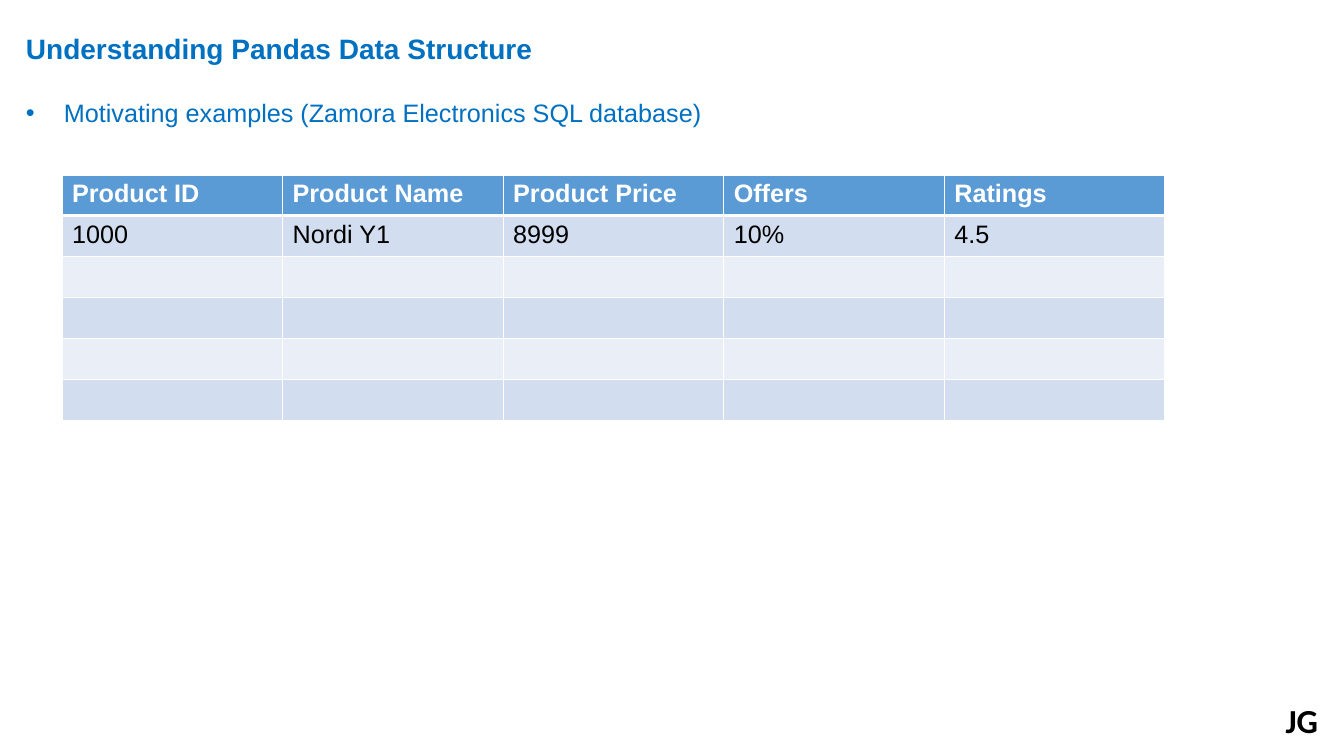
from dataclasses import dataclass

from lxml.etree import SubElement
from pptx import Presentation
from pptx.dml.color import RGBColor
from pptx.enum.text import MSO_ANCHOR, PP_ALIGN
from pptx.oxml.ns import qn
from pptx.util import Emu, Pt

SLIDE_WIDTH, SLIDE_HEIGHT = 1344, 756
EMU_PER_PX = 914400 / 100.8
BORDER_SIDES = ("lnL", "lnR", "lnT", "lnB")


@dataclass(frozen=True)
class Theme:
    font: str = "Arial"
    mark_font: str = "Calibri"
    accent: str = "0070C0"
    ink: str = "000000"
    white: str = "FFFFFF"
    header_fill: str = "5B9BD5"
    band_fills: tuple = ("D2DEEF", "EAEFF7")
    title_size: int = 20
    body_size: int = 18
    mark_size: int = 24
    title_gap: int = 23
    thin_border: int = 1
    header_border: int = 3


THEME = Theme()

TITLE = "Understanding Pandas Data Structure"
BULLET = "Motivating examples (Zamora Electronics SQL database)"
MARK = "JG"
PRODUCT_ROWS = (
    ("Product ID", "Product Name", "Product Price", "Offers", "Ratings"),
    ("1000", "Nordi Y1", "8999", "10%", "4.5"),
)
BODY_ROW_COUNT = 5


def px(length):
    return Emu(round(length * EMU_PER_PX))


def format_runs(para, font, size, color, bold=False):
    for span in para.runs:
        span.font.name = font
        span.font.size = Pt(size)
        span.font.bold = bold
        span.font.color.rgb = RGBColor.from_string(color)


def add_text_frame(page, box):
    frame = page.shapes.add_textbox(*map(px, box)).text_frame
    frame.word_wrap = True
    return frame


def set_bullet(para, indent):
    properties = para._p.get_or_add_pPr()
    properties.set("marL", str(px(indent)))
    properties.set("indent", str(-px(indent)))
    SubElement(properties, qn("a:buFont"), typeface=THEME.font)
    SubElement(properties, qn("a:buChar"), char="•")


def set_borders(cell, widths):
    properties = cell._tc.get_or_add_tcPr()
    for side, width in zip(BORDER_SIDES, widths):
        line = SubElement(properties, qn(f"a:{side}"), w=str(Pt(width)))
        fill = SubElement(line, qn("a:solidFill"))
        SubElement(fill, qn("a:srgbClr"), val=THEME.white)


# Title and bullet
def add_heading(page, box):
    frame = add_text_frame(page, box)
    title = frame.paragraphs[0]
    title.text = TITLE
    format_runs(title, THEME.font, THEME.title_size, THEME.accent, bold=True)

    bullet = frame.add_paragraph()
    bullet.text = BULLET
    bullet.space_before = Pt(THEME.title_gap)
    set_bullet(bullet, 38)
    format_runs(bullet, THEME.font, THEME.body_size, THEME.accent)


# Product table: a header and banded rows
def add_product_table(page, box):
    left, top, width, height = box
    column_count = len(PRODUCT_ROWS[0])
    body_row_height = 41
    table = page.shapes.add_table(
        BODY_ROW_COUNT + 1, column_count, *map(px, box)
    ).table
    table.horz_banding = False
    for column in table.columns:
        column.width = px(width / column_count)

    for row_index, row in enumerate(table.rows):
        is_header = row_index == 0
        row.height = px(height - BODY_ROW_COUNT * body_row_height if is_header
                        else body_row_height)
        fill = THEME.header_fill if is_header else THEME.band_fills[(row_index - 1) % 2]
        above = THEME.header_border if row_index == 1 else THEME.thin_border
        below = THEME.header_border if is_header else THEME.thin_border
        for column_index, cell in enumerate(row.cells):
            set_borders(cell, (THEME.thin_border, THEME.thin_border, above, below))
            cell.fill.solid()
            cell.fill.fore_color.rgb = RGBColor.from_string(fill)
            if row_index < len(PRODUCT_ROWS):
                para = cell.text_frame.paragraphs[0]
                para.text = PRODUCT_ROWS[row_index][column_index]
                format_runs(para, THEME.font, THEME.body_size,
                            THEME.white if is_header else THEME.ink, bold=is_header)


# Initials in the bottom corner
def add_mark(page, box):
    frame = add_text_frame(page, box)
    frame.vertical_anchor = MSO_ANCHOR.MIDDLE
    para = frame.paragraphs[0]
    para.text = MARK
    para.alignment = PP_ALIGN.RIGHT
    format_runs(para, THEME.mark_font, THEME.mark_size, THEME.ink, bold=True)


def main():
    deck = Presentation()
    deck.slide_width = px(SLIDE_WIDTH)
    deck.slide_height = px(SLIDE_HEIGHT)
    page = deck.slides.add_slide(deck.slide_layouts[6])
    add_mark(page, (874, 700, 454, 40))
    add_heading(page, (16, 27, 1311, 176))
    add_product_table(page, (62, 175, 1103, 244))
    deck.save("out.pptx")


if __name__ == "__main__":
    main()
